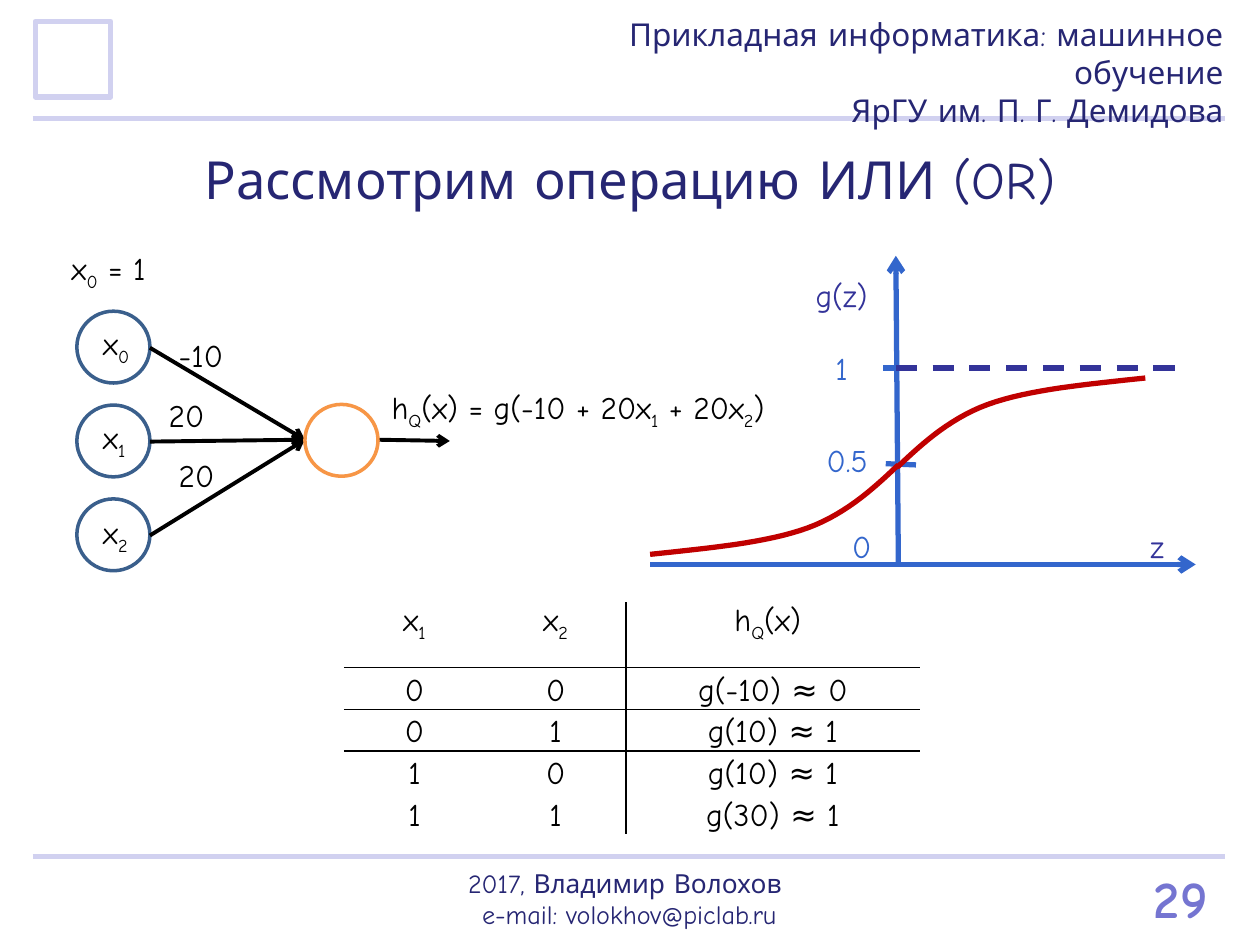
from dataclasses import dataclass
from typing import Optional

import pptx
import pptx.dml.color
import pptx.enum.dml
import pptx.enum.shapes
import pptx.enum.text
import pptx.oxml.ns
import pptx.util
from lxml import etree

Inches = pptx.util.Inches
Pt = pptx.util.Pt
RGBColor = pptx.dml.color.RGBColor
ALIGN = pptx.enum.text.PP_ALIGN
ANCHOR = pptx.enum.text.MSO_ANCHOR
SHAPE = pptx.enum.shapes.MSO_SHAPE
qn = pptx.oxml.ns.qn

FONT = "Comic Neue"
BLACK = RGBColor(0x00, 0x00, 0x00)
WHITE = RGBColor(0xFF, 0xFF, 0xFF)
NAVY = RGBColor(0x26, 0x26, 0x73)
LAVENDER = RGBColor(0xD1, 0xD1, 0xF0)
VIOLET = RGBColor(0x75, 0x75, 0xD1)
INDIGO = RGBColor(0x33, 0x33, 0x99)
BLUE = RGBColor(0x33, 0x66, 0xCC)
STEEL = RGBColor(0x3A, 0x5F, 0x8C)
ORANGE = RGBColor(0xF7, 0x96, 0x46)
RED = RGBColor(0xC0, 0x00, 0x00)
NO_GRID_STYLE = "{2D5ABB26-0587-4C30-8999-92F81FD0307C}"


@dataclass
class Label:
    text: str
    left: float
    top: float
    width: float
    color: RGBColor = BLACK
    align: Optional[ALIGN] = None
    wrap: bool = False


@dataclass
class Line:
    start: tuple[float, float]
    end: tuple[float, float]
    color: RGBColor
    width: float = 3
    arrow: bool = False
    dashed: bool = False


def write_text(frame, text: str, *, size: float = 18, color: RGBColor = BLACK,
               align: Optional[ALIGN] = None, bold: bool = False) -> None:
    """Each line is a paragraph; the character after "_" is a subscript."""
    for index, line in enumerate(text.split("\n")):
        para = frame.paragraphs[0] if index == 0 else frame.add_paragraph()
        para.alignment = align
        first, *rest = line.split("_")
        pieces = [(first, False)]
        for part in rest:
            pieces += [(part[0], True), (part[1:], False)]
        for piece, lowered in pieces:
            if not piece:
                continue
            span = para.add_run()
            span.text = piece
            span.font.name, span.font.size = FONT, Pt(size)
            span.font.bold = bold
            span.font.color.rgb = color
            if lowered:
                span.font._element.set("baseline", "-25000")


def add_text(page, text: str, left: float, top: float, width: float, height: float = 0.4, *,
             wrap: bool = True, grow: bool = True, anchor: ANCHOR = ANCHOR.TOP, **style) -> None:
    box = page.shapes.add_textbox(Inches(left), Inches(top), Inches(width), Inches(height))
    frame = box.text_frame
    frame.word_wrap = wrap
    frame.vertical_anchor = anchor
    if grow:
        frame.auto_size = pptx.enum.text.MSO_AUTO_SIZE.SHAPE_TO_FIT_TEXT
    write_text(frame, text, **style)


def add_label(page, label: Label) -> None:
    add_text(page, label.text, label.left, label.top, label.width,
             color=label.color, align=label.align, wrap=label.wrap)


def add_line(page, line: Line) -> None:
    connector = page.shapes.add_connector(
        pptx.enum.shapes.MSO_CONNECTOR.STRAIGHT,
        *(Inches(value) for value in line.start + line.end))
    connector.line.color.rgb = line.color
    connector.line.width = Pt(line.width)
    if line.dashed:
        connector.line.dash_style = pptx.enum.dml.MSO_LINE.DASH
    if line.arrow:
        etree.SubElement(connector.line._get_or_add_ln(), qn("a:tailEnd"), type="arrow")
    etree.SubElement(connector._element.spPr, qn("a:effectLst"))


def add_outline(page, kind: SHAPE, left: float, top: float, width: float, height: float,
                color: RGBColor, line_width: float) -> None:
    shape = page.shapes.add_shape(kind, Inches(left), Inches(top), Inches(width), Inches(height))
    shape.shadow.inherit = False
    shape.fill.solid()
    shape.fill.fore_color.rgb = WHITE
    shape.line.color.rgb = color
    shape.line.width = Pt(line_width)


def bezier(points: list[tuple[float, float]], steps: int = 16) -> list[tuple[float, float]]:
    def at(t: float, axis: int) -> float:
        a, b, c, d = (point[axis] for point in points)
        u = 1 - t
        return u**3 * a + 3 * u * u * t * b + 3 * u * t * t * c + t**3 * d
    return [(at(i / steps, 0), at(i / steps, 1)) for i in range(steps + 1)]


def add_curve(page, points: list[tuple[float, float]], color: RGBColor) -> None:
    corners = [(Inches(x), Inches(y)) for x, y in points]
    builder = page.shapes.build_freeform(*corners[0])
    builder.add_line_segments(corners[1:], close=False)
    curve = builder.convert_to_shape()
    curve.shadow.inherit = False
    curve.fill.background()
    curve.line.color.rgb = color
    curve.line.width = Pt(3)


def add_border(cell, side: str) -> None:
    border = etree.SubElement(cell._tc.get_or_add_tcPr(), qn(f"a:{side}"), w=str(Pt(1)))
    fill = etree.SubElement(border, qn("a:solidFill"))
    etree.SubElement(fill, qn("a:srgbClr"), val=str(BLACK))


def add_truth_table(page, rows: list[tuple[str, str, str]]) -> None:
    widths, heights = [1.12, 1.12, 2.33], [0.52] + [0.33] * 4
    holder = page.shapes.add_table(len(rows), len(widths), Inches(2.73), Inches(4.78),
                                   Inches(sum(widths)), Inches(sum(heights)))
    table = holder.table
    table.first_row = table.horz_banding = False
    table._tbl.tblPr.find(qn("a:tableStyleId")).text = NO_GRID_STYLE
    for column, width in zip(table.columns, widths):
        column.width = Inches(width)
    for r, row in enumerate(rows):
        table.rows[r].height = Inches(heights[r])
        for c, text in enumerate(row):
            cell = table.cell(r, c)
            cell.margin_left = cell.margin_right = cell.margin_top = Inches(0.01)
            cell.margin_bottom = 0
            cell.vertical_anchor = ANCHOR.TOP if r == 0 else ANCHOR.BOTTOM
            write_text(cell.text_frame, text, align=ALIGN.CENTER)
            sides = {"lnL": c == 2, "lnR": c == 1, "lnT": r in (1, 2), "lnB": r in (0, 1)}
            for side, shown in sides.items():
                if shown:
                    add_border(cell, side)
            cell.fill.solid()
            cell.fill.fore_color.rgb = WHITE


def main() -> None:
    deck = pptx.Presentation()
    deck.slide_width, deck.slide_height = Inches(10), Inches(7.5)
    page = deck.slides.add_slide(deck.slide_layouts[6])

    # Page frame, title and footer
    for y in (0.94, 6.8):
        add_line(page, Line((0.26, y), (9.72, y), LAVENDER))
    add_outline(page, SHAPE.RECTANGLE, 0.28, 0.17, 0.6, 0.6, LAVENDER, 3)
    add_text(page, "Рассмотрим операцию ИЛИ (OR)", 0.08, 1.12, 9.84, 0.61,
             size=30, color=NAVY, align=ALIGN.CENTER)
    add_text(page, "2017, Владимир Волохов \ne-mail: volokhov@piclab.ru", 3.51, 6.88, 2.97, 0.5,
             grow=False, anchor=ANCHOR.MIDDLE, size=15, color=NAVY, align=ALIGN.CENTER)
    add_text(page, "29", 9.06, 6.82, 0.71, 0.61, wrap=False, size=30, color=VIOLET, bold=True)
    add_text(page, "Прикладная информатика: машинное обучение\nЯрГУ им. П. Г. Демидова",
             3.8, 0.07, 6.01, 0.71, color=NAVY, align=ALIGN.RIGHT)

    # Neuron: three inputs feeding one output
    neuron = (2.42, 3.49)
    for index in range(3):
        top = 2.47 + 0.745 * index
        add_outline(page, SHAPE.OVAL, 0.61, top, 0.58, 0.57, STEEL, 2)
        add_line(page, Line((1.19, top + 0.29), neuron, BLACK, 2.25, arrow=True))
        add_label(page, Label(f"x_{index}", 0.72, 2.52 + 0.75 * index, 0.45))
    add_line(page, Line((2.99, 3.49), (3.57, 3.5), BLACK, 2.25, arrow=True))
    add_outline(page, SHAPE.OVAL, 2.42, 3.21, 0.58, 0.57, ORANGE, 2)
    for label in (
        Label("h_Q(x) = g(-10 + 20x_1 + 20x_2)", 3.01, 3.03, 3.44),
        Label("x_0 = 1", 0.47, 1.93, 0.85),
        Label("-10", 1.32, 2.62, 0.58),
        Label("20", 1.24, 3.09, 0.51),
        Label("20", 1.32, 3.57, 0.51),
    ):
        add_label(page, label)

    # Sigmoid graph: axes, ticks and labels
    for line in (
        Line((7.24, 2.92), (7.01, 2.92), BLUE),
        Line((7.13, 4.48), (7.11, 2.03), BLUE, arrow=True),
        Line((5.16, 4.48), (9.49, 4.48), BLUE, arrow=True),
        Line((7.27, 3.69), (7.03, 3.68), BLUE),
    ):
        add_line(page, line)
    for label in (
        Label("z", 8.91, 4.13, 0.55, INDIGO, ALIGN.CENTER, True),
        Label("g(z)", 6.25, 2.14, 0.86, INDIGO, ALIGN.CENTER, True),
        Label("0", 6.41, 4.13, 0.86, BLUE, ALIGN.CENTER, True),
        Label("1", 6.33, 2.72, 0.7, BLUE, ALIGN.CENTER, True),
        Label("0.5", 6.41, 3.45, 0.63, BLUE, ALIGN.CENTER, True),
    ):
        add_label(page, label)

    # The upper half of the sigmoid is the lower half turned by 180 degrees
    lower = (bezier([(5.16, 4.4), (5.62, 4.35), (6.08, 4.31), (6.41, 4.19)])
             + bezier([(6.41, 4.19), (6.74, 4.07), (6.98, 3.83), (7.13, 3.69)])[1:])
    add_curve(page, lower, RED)
    add_curve(page, [(14.25 - x, 7.4 - y) for x, y in lower], RED)
    add_line(page, Line((7.11, 2.92), (9.38, 2.92), INDIGO, dashed=True))

    # Truth table
    add_truth_table(page, [
        ("x_1", "x_2", "h_Q(x) "),
        ("0", "0", "g(-10) ≈ 0"),
        ("0", "1", "g(10) ≈ 1"),
        ("1", "0", "g(10) ≈ 1"),
        ("1", "1", "g(30) ≈ 1"),
    ])
    deck.save("out.pptx")


if __name__ == "__main__":
    main()
